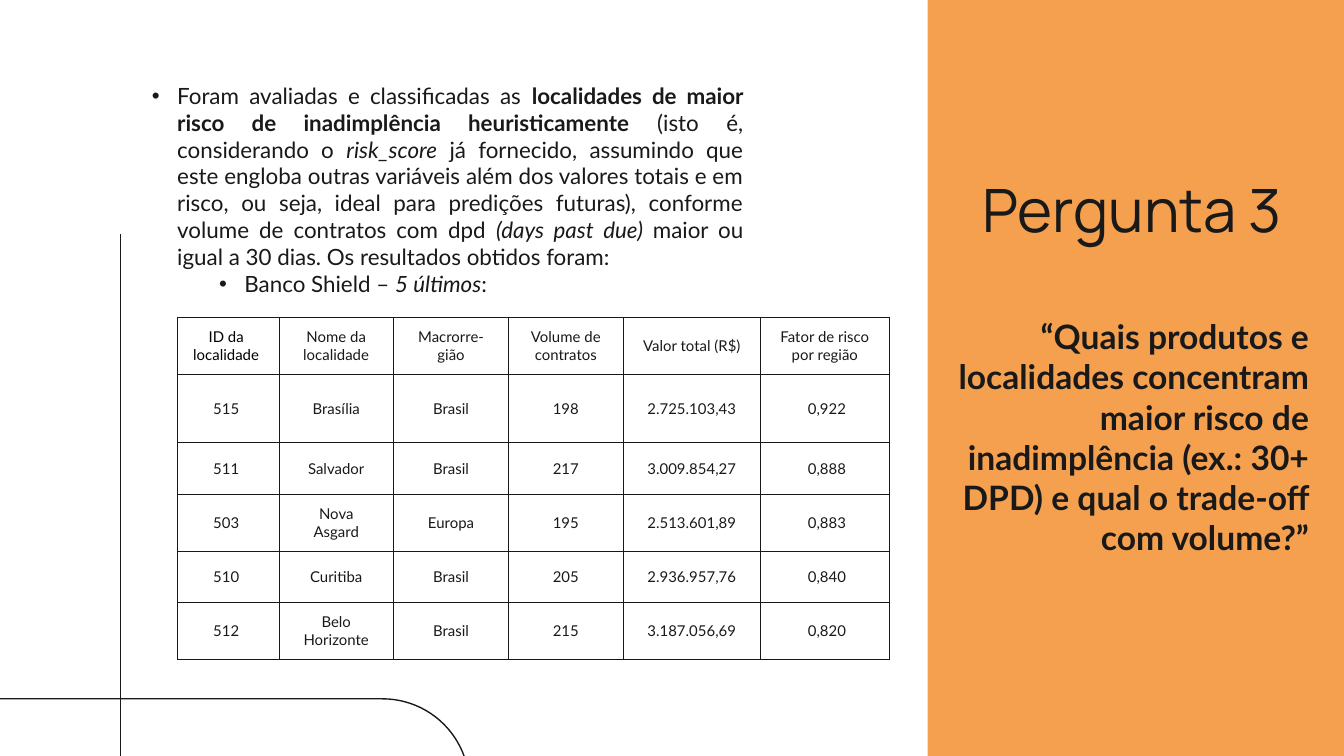
from lxml.etree import SubElement as Sub
from pptx import Presentation
from pptx.dml.color import RGBColor as RGB
from pptx.enum.shapes import MSO_CONNECTOR as Link, MSO_SHAPE as Form
from pptx.enum.text import MSO_ANCHOR as Anchor, PP_ALIGN as Align
from pptx.oxml.ns import qn
from pptx.util import Cm, Pt

HUES = {"ink": "191919", "black": "000000", "orange": "F5A04F"}
WIDE, HIGH = 25.4, 14.29
PLAIN, BOLD, SLANT = {}, {"bold": True}, {"italic": True}

INTRO = [
    ("Foram avaliadas e classificadas as ", PLAIN),
    ("localidades de maior risco de inadimplência heuristicamente", BOLD),
    (" (isto é, considerando o ", PLAIN),
    ("risk_score", SLANT),
    (" já fornecido, assumindo que este engloba outras variáveis além dos "
     "valores totais e em risco, ou seja, ideal para predições futuras), "
     "conforme volume de contratos com dpd ", PLAIN),
    ("(days past due) ", SLANT),
    ("maior ou igual a 30 dias. Os resultados obtidos foram:", PLAIN),
]
BANK = [("Banco Shield – ", PLAIN), ("5 últimos", SLANT), (":", PLAIN)]
QUOTE = ("“Quais produtos e localidades concentram maior risco de "
         "inadimplência (ex.: 30+ DPD) e qual o trade-off com volume?”")

ROWS = [
    ("ID da localidade", "Nome da localidade", "Macrorre-gião",
     "Volume de contratos", "Valor total (R$)", "Fator de risco por região"),
    ("515", "Brasília", "Brasil", "198", "2.725.103,43", "0,922"),
    ("511", "Salvador", "Brasil", "217", "3.009.854,27", "0,888"),
    ("503", "Nova Asgard", "Europa", "195", "2.513.601,89", "0,883"),
    ("510", "Curitiba", "Brasil", "205", "2.936.957,76", "0,840"),
    ("512", "Belo Horizonte", "Brasil", "215", "3.187.056,69", "0,820"),
]
COLS = [1.92, 2.17, 2.17, 2.17, 2.59, 2.44]
TALL = [0.97, 1.3, 0.97, 0.97, 0.97, 0.97]


def tint(name):
    return RGB.from_string(HUES[name])


def style(font, size, face="Lato", hue="ink"):
    font.name, font.size = face, Pt(size)
    font.color.rgb = tint(hue)


def write(slide, box, align):
    frame = slide.shapes.add_textbox(*map(Cm, box)).text_frame
    frame.word_wrap = True
    frame.margin_left = frame.margin_right = Cm(0.25)
    frame.margin_top = frame.margin_bottom = Cm(0.25)
    frame.paragraphs[0].alignment = align
    return frame


def add_frame(slide, left, top):
    """Rounded outline and upright line, running off the bottom edge."""
    arch = slide.shapes.add_shape(
        Form.ROUNDED_RECTANGLE, Cm(-2.69), Cm(top), Cm(11.56), Cm(3.28))
    arch.adjustments[0] = 0.5
    arch.shadow.inherit = False
    arch.fill.background()
    post = slide.shapes.add_connector(
        Link.STRAIGHT, Cm(left), Cm(4.42), Cm(left), Cm(HIGH))
    Sub(post.element.spPr, qn("a:effectLst"))
    for part in (arch, post):
        part.line.color.rgb = tint("ink")
        part.line.width = Pt(0.75)


def add_panel(slide, left, top, width, height):
    """Orange side panel with the title and the question."""
    panel = slide.shapes.add_shape(
        Form.RECTANGLE, *map(Cm, (left, top, width, height)))
    panel.shadow.inherit = False
    panel.fill.solid()
    panel.fill.fore_color.rgb = tint("orange")
    panel.line.fill.background()

    quote = write(slide, (left + 0.22, top + 5.72, 7.24, 4.22), Align.RIGHT)
    quote.text = QUOTE
    quote.paragraphs[0].alignment = Align.RIGHT
    font = quote.paragraphs[0].runs[0].font
    style(font, 18)
    font.bold = True

    title = write(slide, (left - 0.58, top + 3.02, 8.89, 1.88), Align.CENTER)
    title.text = "Pergunta 3"
    title.paragraphs[0].alignment = Align.CENTER
    style(title.paragraphs[0].runs[0].font, 32, "Manrope")


def add_body(slide, *box):
    """Bulleted explanation on two levels."""
    frame = write(slide, box, Align.JUSTIFY)
    for level, parts in enumerate((INTRO, BANK)):
        para = frame.add_paragraph() if level else frame.paragraphs[0]
        para.alignment, para.level = Align.JUSTIFY, level
        props = para._p.get_or_add_pPr()
        props.set("marL", str(Cm(0.48 + 1.27 * level)))
        props.set("indent", str(-Cm(0.48)))
        Sub(Sub(props, qn("a:buClr")), qn("a:srgbClr"), val=HUES["ink"])
        Sub(props, qn("a:buFont"), typeface="Arial")
        Sub(props, qn("a:buChar"), char="•")
        for text, looks in parts:
            run = para.add_run()
            run.text = text
            style(run.font, 12)
            for key, value in looks.items():
                setattr(run.font, key, value)


def add_edges(cell):
    props = cell._tc.get_or_add_tcPr()
    for spot, side in enumerate(("lnL", "lnR", "lnT", "lnB")):
        line = Sub(props, qn("a:" + side), w=str(Pt(0.25)))
        Sub(Sub(line, qn("a:solidFill")), qn("a:srgbClr"), val=HUES["ink"])
        props.insert(spot, line)


def add_grid(slide, left, top):
    """Table of the five places."""
    grid = slide.shapes.add_table(
        len(ROWS), len(COLS), Cm(left), Cm(top),
        Cm(sum(COLS)), Cm(sum(TALL))).table
    grid.first_row = grid.horz_banding = False
    for col, width in zip(grid.columns, COLS):
        col.width = Cm(width)
    for r, (row, texts) in enumerate(zip(grid.rows, ROWS)):
        row.height = Cm(TALL[r])
        inset = 0.33 if r else 0.3
        for c, text in enumerate(texts):
            cell = grid.cell(r, c)
            cell.text = text
            cell.vertical_anchor = Anchor.MIDDLE
            cell.margin_left = Cm(inset if c else inset - 0.07)
            cell.margin_right = Cm(0.25 if r and c == len(COLS) - 1 else inset)
            cell.margin_top = cell.margin_bottom = Cm(0.2)
            cell.fill.background()
            add_edges(cell)
            para = cell.text_frame.paragraphs[0]
            para.alignment = Align.CENTER
            style(para.runs[0].font, 8, hue="ink" if r or c else "black")


def main():
    deck = Presentation()
    deck.slide_width, deck.slide_height = Cm(WIDE), Cm(HIGH)
    slide = deck.slides.add_slide(deck.slide_layouts[6])
    add_frame(slide, 2.28, 13.21)
    add_panel(slide, 17.53, 0, WIDE - 17.53, HIGH)
    add_body(slide, 2.62, 1.3, 11.68, 4.98)
    add_grid(slide, 3.35, 5.99)
    deck.save("out.pptx")


if __name__ == "__main__":
    main()
